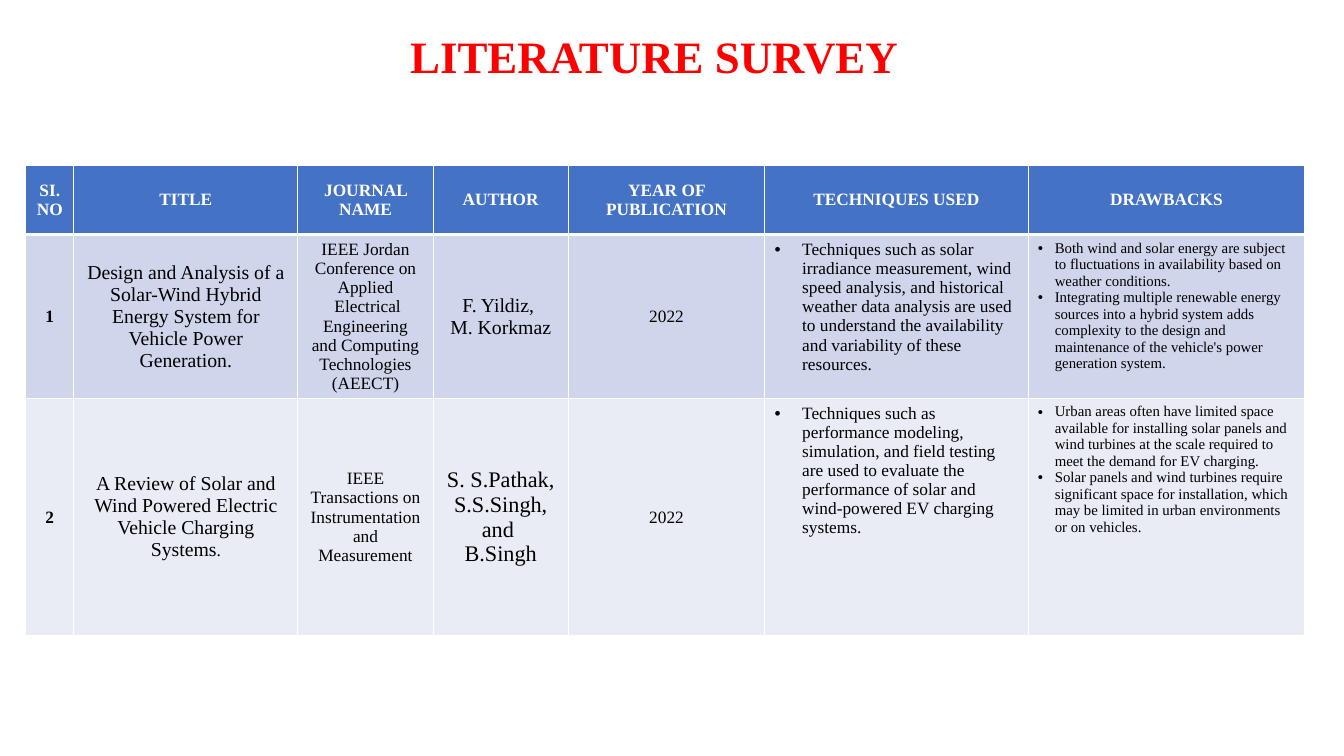
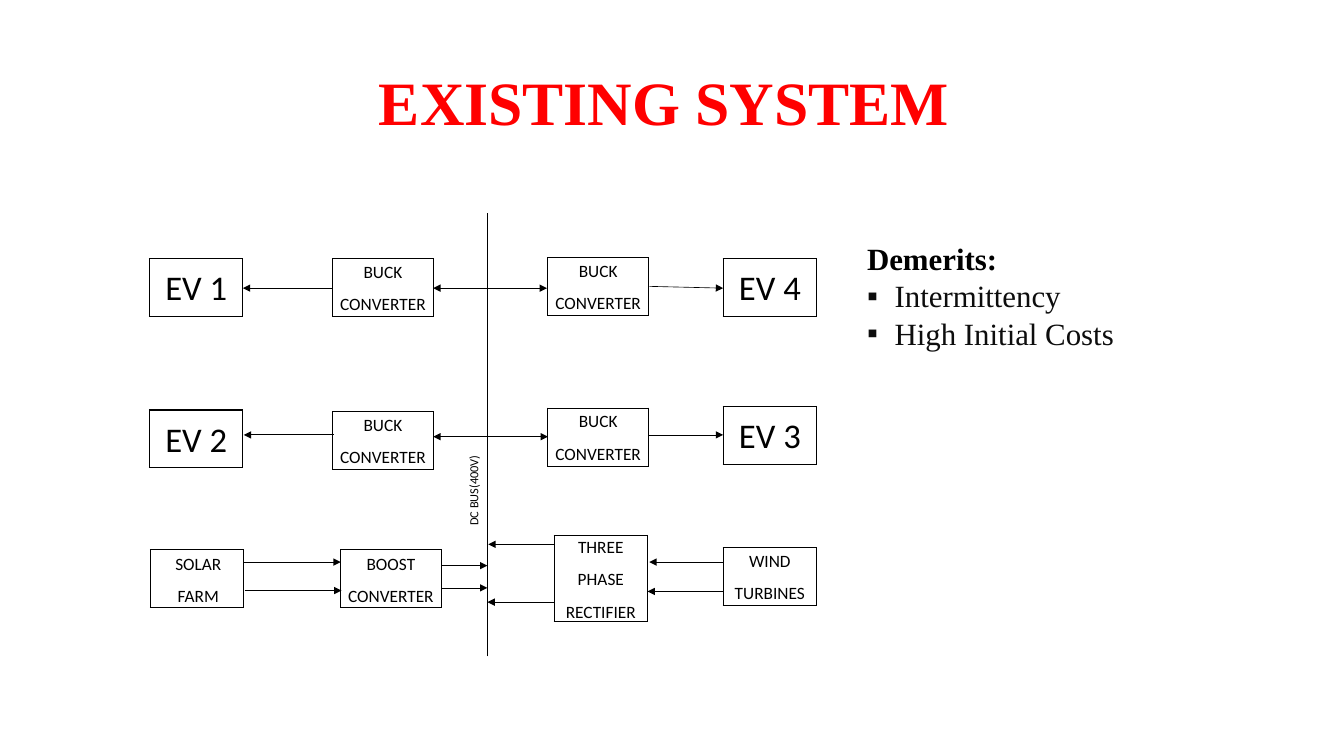
from dataclasses import dataclass
from typing import Any

from lxml.etree import SubElement
from pptx import Presentation
from pptx.dml.color import RGBColor
from pptx.enum.shapes import MSO_CONNECTOR
from pptx.enum.text import MSO_ANCHOR, MSO_AUTO_SIZE, PP_ALIGN
from pptx.oxml.ns import qn
from pptx.util import Inches, Pt

COLORS = {
    "title": "FF0000",
    "white": "FFFFFF",
    "black": "000000",
    "demerit": "0D0D0D",
    "header": "4472C4",
    "odd_row": "CFD5EA",
    "even_row": "E9EBF5",
}
SERIF = "Times New Roman"
SANS = "Calibri"
BUS_X = 5.48
BOX_H = 0.65


@dataclass(frozen=True)
class Text:
    lines: tuple[str, ...]
    size: float = 14
    bold: bool = False
    color: str = "black"
    font: str = SERIF
    align: Any = PP_ALIGN.CENTER
    bullet: str = ""
    indent: float = 0
    spacing: float = 1
    after: float = 0
    tail: str = ""
    tail_size: float = 14


@dataclass(frozen=True)
class Box:
    left: float
    top: float
    width: float
    lines: tuple[str, ...]
    size: float = 14
    height: float = BOX_H
    anchor: Any = MSO_ANCHOR.MIDDLE
    indent: float = 0


@dataclass(frozen=True)
class Link:
    start: tuple[float, float]
    end: tuple[float, float]
    weight: float = 0.5
    arrow: bool = True


def rgb(name: str) -> RGBColor:
    return RGBColor.from_string(COLORS[name])


def apply(target: Any, values: dict[str, Any]) -> None:
    for key, value in values.items():
        setattr(target, key, value)


def indent(p: Any, text: Text) -> None:
    ppr = p._p.get_or_add_pPr()
    ppr.set("marL", str(Inches(text.indent)))
    if text.bullet:
        ppr.set("indent", str(-Inches(text.indent)))
        SubElement(ppr, qn("a:buFont")).set("typeface", "Arial")
        SubElement(ppr, qn("a:buChar")).set("char", text.bullet)


def add_run(p: Any, words: str, text: Text, size: float) -> None:
    r = p.add_run()
    r.text = words
    apply(r.font, {"name": text.font, "size": Pt(size), "bold": text.bold})
    r.font.color.rgb = rgb(text.color)


def write(tf: Any, *texts: Text) -> None:
    pairs = [(text, line) for text in texts for line in text.lines]
    for i, (text, line) in enumerate(pairs):
        p = tf.add_paragraph() if i else tf.paragraphs[0]
        apply(p, {"alignment": text.align, "line_spacing": text.spacing,
                  "space_before": Pt(0), "space_after": Pt(text.after)})
        if text.indent:
            indent(p, text)
        add_run(p, line, text, text.size)
        if text.tail:
            add_run(p, text.tail, text, text.tail_size)


def add_slide(prs: Any, title: str, size: float, left: float, top: float,
              width: float, height: float) -> Any:
    s = prs.slides.add_slide(prs.slide_layouts[5])
    sp = s.shapes.title
    apply(sp, {"left": Inches(left), "top": Inches(top),
               "width": Inches(width), "height": Inches(height)})
    sp.fill.solid()
    sp.fill.fore_color.rgb = rgb("white")
    sp.line.color.rgb = rgb("white")
    sp.line.width = Pt(1)
    apply(sp.text_frame, {"auto_size": MSO_AUTO_SIZE.NONE, "word_wrap": True,
                          "vertical_anchor": MSO_ANCHOR.MIDDLE})
    write(sp.text_frame, Text((title,), size, True, "title", spacing=0.9))
    return s


def add_textbox(s: Any, left: float, top: float, width: float, height: float,
                *texts: Text) -> Any:
    sp = s.shapes.add_textbox(Inches(left), Inches(top), Inches(width), Inches(height))
    sp.text_frame.word_wrap = True
    write(sp.text_frame, *texts)
    return sp


def fill_cell(cell: Any, text: Text, fill: str, border: str, anchor: Any,
              side: float, edge: float, bottom: float = 1) -> None:
    apply(cell, {"vertical_anchor": anchor,
                 "margin_left": Inches(side), "margin_right": Inches(side),
                 "margin_top": Inches(edge), "margin_bottom": Inches(edge)})
    tcpr = cell._tc.get_or_add_tcPr()
    for tag, weight in (("lnL", 1), ("lnR", 1), ("lnT", 1), ("lnB", bottom)):
        ln = SubElement(tcpr, qn(f"a:{tag}"), w=str(Pt(weight)))
        SubElement(SubElement(ln, qn("a:solidFill")), qn("a:srgbClr"),
                   val=COLORS[border])
    cell.fill.solid()
    cell.fill.fore_color.rgb = rgb(fill)
    write(cell.text_frame, text)


def add_grid(s: Any, left: float, top: float, widths: tuple[float, ...],
             heights: tuple[float, ...]) -> Any:
    table = s.shapes.add_table(len(heights), len(widths), Inches(left), Inches(top),
                               Inches(sum(widths)), Inches(sum(heights))).table
    for column, width in zip(table.columns, widths):
        column.width = Inches(width)
    for row, height in zip(table.rows, heights):
        row.height = Inches(height)
    return table


def add_box(s: Any, box: Box) -> None:
    table = add_grid(s, box.left, box.top, (box.width,), (box.height,))
    apply(table, {"first_row": False, "horz_banding": False})
    text = Text(box.lines, box.size, font=SANS, indent=box.indent, spacing=1.07, after=8)
    fill_cell(table.cell(0, 0), text, "white", "black", box.anchor, 0.07, 0)


def add_link(s: Any, link: Link) -> None:
    points = [Inches(value) for value in link.start + link.end]
    sp = s.shapes.add_connector(MSO_CONNECTOR.STRAIGHT, *points)
    sp.line.color.rgb = rgb("black")
    sp.line.width = Pt(link.weight)
    if link.arrow:
        SubElement(sp.line._get_or_add_ln(), qn("a:tailEnd")).set("type", "triangle")
    SubElement(sp._element.spPr, qn("a:effectLst"))


def techniques(line: str) -> Text:
    return Text((line,), align=PP_ALIGN.LEFT, bullet="•", indent=0.31)


def drawbacks(*lines: str) -> Text:
    return Text(lines, 12, align=PP_ALIGN.LEFT, bullet="•", indent=0.19)


HEADERS = ("SI.NO", "TITLE", "JOURNAL NAME", "AUTHOR", "YEAR OF PUBLICATION",
           "TECHNIQUES USED", "DRAWBACKS")
COL_WIDTHS = (0.54, 2.52, 1.52, 1.52, 2.21, 2.96, 3.11)
ROW_HEIGHTS = (0.78, 1.81, 2.67)
ROW_FILLS = ("header", "odd_row", "even_row")
SURVEY = (
    tuple(Text((h,), bold=True, color="white") for h in HEADERS),
    (
        Text(("1",), bold=True),
        Text(("Design and Analysis of a Solar-Wind Hybrid Energy System for "
              "Vehicle Power Generation.",), 16),
        Text(("IEEE Jordan Conference on Applied", " Electrical Engineering",
              "and Computing Technologies (AEECT)")),
        Text(("F. Yildiz, ", "M. Korkmaz"), 16),
        Text(("2022",)),
        techniques("Techniques such as solar irradiance measurement, wind speed "
                   "analysis, and historical weather data analysis are used to "
                   "understand the availability and variability of these resources."),
        drawbacks("Both wind and solar energy are subject to fluctuations in "
                  "availability based on weather conditions.",
                  "Integrating multiple renewable energy sources into a hybrid "
                  "system adds complexity to the design and maintenance of the "
                  "vehicle's power generation system."),
    ),
    (
        Text(("2",), bold=True),
        Text(("A Review of Solar and Wind Powered Electric Vehicle Charging "
              "Systems",), 16, tail="."),
        Text(("IEEE Transactions on Instrumentation and Measurement",)),
        Text(("S. S.Pathak, S.S.Singh, and ", "B.Singh"), 18),
        Text(("2022",)),
        techniques("Techniques such as performance modeling, simulation, and field "
                   "testing are used to evaluate the performance of solar and "
                   "wind-powered EV charging systems."),
        drawbacks("Urban areas often have limited space available for installing "
                  "solar panels and wind turbines at the scale required to meet "
                  "the demand for EV charging.",
                  "Solar panels and wind turbines require significant space for "
                  "installation, which may be limited in urban environments or on "
                  "vehicles."),
    ),
)

BUCK = ("BUCK", "CONVERTER")
BOXES = (
    Box(1.68, 2.91, 1.05, ("EV 1",), 28),
    Box(3.74, 2.91, 1.13, BUCK),
    Box(6.16, 4.59, 1.13, BUCK),
    Box(3.74, 4.63, 1.13, BUCK),
    Box(6.16, 2.9, 1.13, BUCK),
    Box(8.13, 4.57, 1.05, ("EV 3",), 28),
    Box(1.68, 4.61, 1.05, ("EV 2",), 28),
    Box(8.13, 2.91, 1.05, ("EV 4",), 28),
    Box(8.13, 6.16, 1.05, ("WIND", "TURBINES")),
    Box(6.23, 6.02, 1.05, ("THREE", "PHASE", "RECTIFIER"), height=0.97,
        anchor=MSO_ANCHOR.BOTTOM),
    Box(3.83, 6.18, 1.13, ("BOOST", "CONVERTER"), anchor=MSO_ANCHOR.BOTTOM),
    Box(1.69, 6.18, 1.05, ("SOLAR", "FARM"), anchor=MSO_ANCHOR.BOTTOM, indent=0.03),
)
LINKS = (
    Link((3.74, 3.24), (2.73, 3.24), 0.75),
    Link((3.75, 4.89), (2.74, 4.89), 0.75),
    Link((BUS_X, 4.91), (4.87, 4.91), 0.75),
    Link((BUS_X, 3.24), (4.87, 3.24), 0.75),
    Link((BUS_X, 7.38), (BUS_X, 2.4), 1.5, False),
    Link((6.23, 6.12), (5.49, 6.12), 0.75),
    Link((6.23, 6.77), (BUS_X, 6.77), 0.75),
    Link((8.13, 6.65), (7.28, 6.65), 0.75),
    Link((8.13, 6.32), (7.3, 6.32), 0.75),
    Link((BUS_X, 3.24), (6.15, 3.24)),
    Link((7.3, 3.22), (8.13, 3.24)),
    Link((BUS_X, 4.91), (6.16, 4.91)),
    Link((7.3, 4.89), (8.13, 4.89)),
    Link((2.74, 6.32), (3.83, 6.32)),
    Link((2.75, 6.64), (3.84, 6.64)),
    Link((4.96, 6.36), (BUS_X, 6.36)),
    Link((4.96, 6.61), (BUS_X, 6.61)),
)


def build_survey(prs: Any) -> None:
    s = add_slide(prs, "LITERATURE SURVEY", 36.3, 0.84, 0.13, 13.03, 1.06)
    table = add_grid(s, 0.29, 1.86, COL_WIDTHS, ROW_HEIGHTS)
    for row, fill, texts in zip(table.rows, ROW_FILLS, SURVEY):
        bottom = 3 if fill == "header" else 1
        for cell, text in zip(row.cells, texts):
            anchor = MSO_ANCHOR.TOP if text.bullet else MSO_ANCHOR.MIDDLE
            fill_cell(cell, text, fill, "white", anchor, 0.11, 0.06, bottom)


def build_system(prs: Any) -> None:
    s = add_slide(prs, "EXISTING SYSTEM ", 49.9, 1.52, 0.54, 12.07, 1.29)
    add_textbox(s, 9.65, 2.65, 5.2, 1.36,
                Text(("Demerits:",), 25, True, align=PP_ALIGN.LEFT),
                Text(("Intermittency", "High Initial Costs"), 25, color="demerit",
                     align=PP_ALIGN.LEFT, bullet="▪", indent=0.31))
    for box in BOXES:
        add_box(s, box)
    for link in LINKS:
        add_link(s, link)
    sp = add_textbox(s, 5.19, 4.43, 0.67, 1.58,
                     Text(("DC BUS(400V)",), 10, font=SANS, align=PP_ALIGN.LEFT))
    sp.text_frame._txBody.bodyPr.set("vert", "vert270")


def main() -> None:
    prs = Presentation()
    prs.slide_width, prs.slide_height = Inches(15.11), Inches(8.5)
    build_survey(prs)
    build_system(prs)
    prs.save("out.pptx")


if __name__ == "__main__":
    main()
